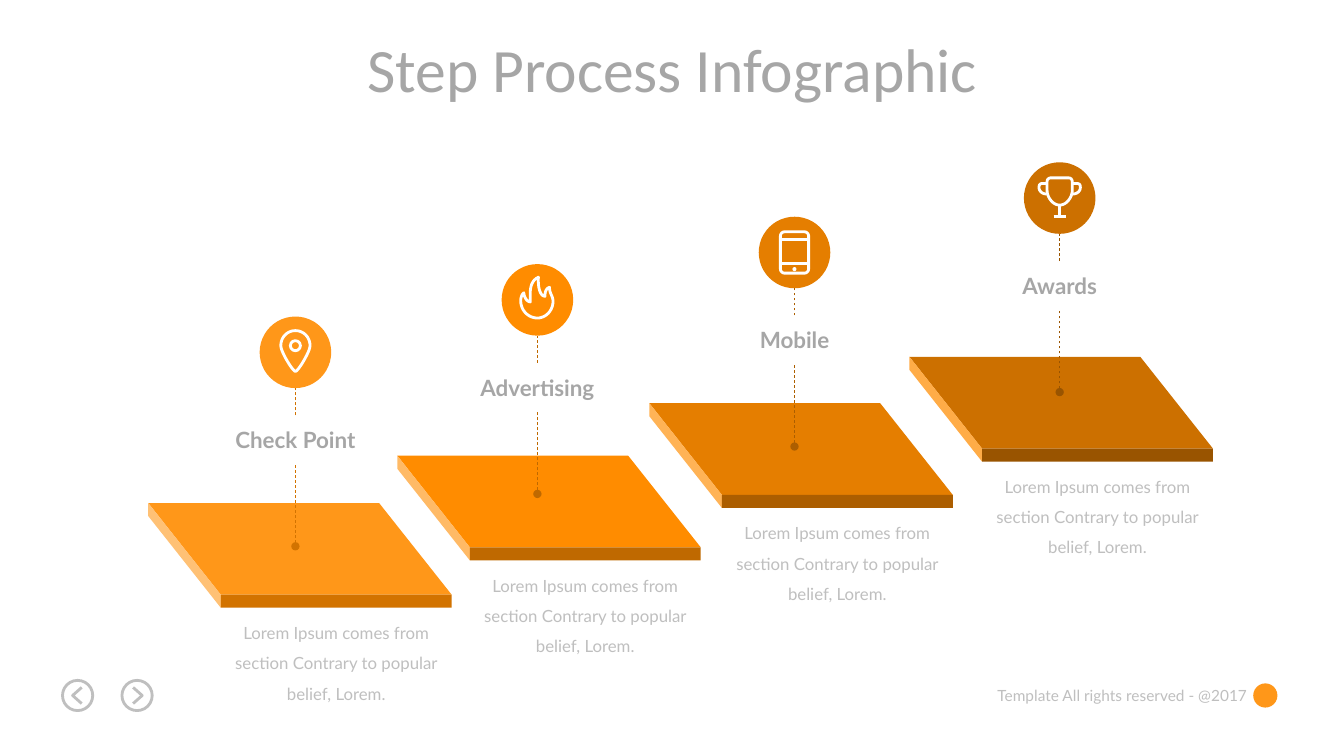
"""Build the Step Process Infographic slide: four rising slabs with icons."""
from lxml import etree
from pptx import Presentation
from pptx import util as u
from pptx.dml.color import RGBColor
from pptx.enum import dml, shapes, text
from pptx.oxml.ns import qn

THEME = {
    "title": ("Calibri", 44, "A6A6A6", False),
    "label": ("Lato", 16, "A6A6A6", True),
    "body": ("Lato", 12, "BFBFBF", False),
    "footer": ("Lato", 11, "BFBFBF", False),
    "nav": "BFBFBF", "accent": "FF9719", "icon": "FFFFFF",
    "stroke": 2, "dash": 0.5,
}
TITLE = "Step Process Infographic"
FOOTER = "Template All rights reserved - @2017"
BODY = "Lorem Ipsum comes from section Contrary to popular belief, Lorem."

# label, slab corner, pin dot, top / side / front colours
STEPS = [
    ("Check Point", (1.47, 4.99), (2.93, 5.42), ("FF9719", "FFC175", "D27300")),
    ("Advertising", (3.94, 4.52), (5.33, 4.90), ("FF8C00", "FFBA66", "BF6900")),
    ("Mobile", (6.44, 4.00), (7.88, 4.43), ("E57E00", "FFB356", "AC5E00")),
    ("Awards", (9.02, 3.54), (10.51, 3.89), ("CC7000", "FFAC47", "995400")),
]

# Icon strokes in hundredths of an inch from the disc centre:
# a start point, then lines (2 numbers) or cubic curves (6 numbers).
ICONS = {
    "Check Point": [
        [(0, -21.5), (-8, -21.5, -14.5, -15, -14.5, -6.5), (-14.5, -0.5, -2.5, 19, 0, 19),
         (2.5, 19, 14.5, -0.5, 14.5, -6.5), (14.5, -15, 8, -21.5, 0, -21.5)],
    ],
    "Advertising": [
        [(-16.5, 1), (-16.5, -3, -15, -6, -13.5, -7), (-13, -2, -10, 2, -7, 2),
         (-7, -5, -9, -18, 1, -22.5), (0.5, -14, 2, -4, 7.5, -3.5),
         (7.5, -7, 8, -11, 12, -12.5), (12, -6, 15.5, -4, 15.5, 1.5),
         (15.5, 10.5, 8.5, 18, 0, 18), (-9, 18, -16.5, 10.5, -16.5, 1)],
    ],
    "Mobile": [
        [(-10, -20.5), (10, -20.5), (12, -20.5, 14, -18.5, 14, -16.5), (14, 16.5),
         (14, 18.5, 12, 20.5, 10, 20.5), (-10, 20.5), (-12, 20.5, -14, 18.5, -14, 16.5),
         (-14, -16.5), (-14, -18.5, -12, -20.5, -10, -20.5)],
        [(-14, -13), (14, -13)],
        [(-14, 11), (14, 11)],
    ],
    "Awards": [
        [(-8.5, -20), (8.5, -20), (11, -20, 12.5, -18.5, 12.5, -16), (12.5, -7.5),
         (12.5, -1, 7, 7, 0, 7), (-7, 7, -12.5, -1, -12.5, -7.5), (-12.5, -16),
         (-12.5, -18.5, -11, -20, -8.5, -20)],
        [(-13, -14.5), (-18, -14.5, -20.5, -15, -20.5, -10.5), (-20.5, -7, -17.5, -4, -13, -4)],
        [(13, -14.5), (18, -14.5, 20.5, -15, 20.5, -10.5), (20.5, -7, 17.5, -4, 13, -4)],
        [(0, 7), (0, 18)],
        [(-6, 18), (6, 18)],
    ],
}
# vertical offset, radius, filled
ICON_DOTS = {"Check Point": (-0.065, 0.05, False), "Mobile": (0.165, 0.02, True)}
NAV = [(0.77, -1), (1.36, 1)]

SLAB_W, SLAB_SKEW, SLAB_DEPTH, SLAB_H = 2.29, 0.72, 0.91, 0.13
DISC = 0.71
DISC_RISE = 2.28


def rgb(value):
    return RGBColor.from_string(value)


def paint(sp, fill=None, line=None):
    sp.shadow.inherit = False
    if fill:
        sp.fill.solid()
        sp.fill.fore_color.rgb = rgb(fill)
    else:
        sp.fill.background()
    if line:
        sp.line.color.rgb = rgb(line)
        sp.line.width = u.Pt(THEME["stroke"])
    else:
        sp.line.fill.background()


def preset(s, kind, x, y, w, h, fill=None, line=None):
    sp = s.shapes.add_shape(kind, *map(u.Inches, (x, y, w, h)))
    paint(sp, fill, line)


def circle(s, cx, cy, radius, fill=None, line=None):
    preset(s, shapes.MSO_SHAPE.OVAL, cx - radius, cy - radius, 2 * radius, 2 * radius, fill, line)


def outline(s, points, fill=None, line=None):
    pts = [(u.Inches(x), u.Inches(y)) for x, y in points]
    builder = s.shapes.build_freeform(*pts[0], scale=1.0)
    builder.add_line_segments(pts[1:], close=pts[0] == pts[-1] or fill is not None)
    paint(builder.convert_to_shape(), fill, line)


def flatten(stroke, cx, cy, steps=12):
    pts = [stroke[0]]
    for seg in stroke[1:]:
        if len(seg) == 2:
            pts.append(seg)
            continue
        ctrl = [pts[-1], seg[:2], seg[2:4], seg[4:]]
        for i in range(1, steps + 1):
            t = i / steps
            weights = ((1 - t) ** 3, 3 * t * (1 - t) ** 2, 3 * t * t * (1 - t), t ** 3)
            pts.append(tuple(sum(k * c[axis] for k, c in zip(weights, ctrl)) for axis in (0, 1)))
    return [(cx + x / 100, cy + y / 100) for x, y in pts]


def write(s, content, style, x, y, w, h, align=text.PP_ALIGN.CENTER, wrap=False, spacing=None):
    font, size, color, bold = THEME[style]
    tf = s.shapes.add_textbox(*map(u.Inches, (x, y, w, h))).text_frame
    tf.word_wrap = wrap
    p = tf.paragraphs[0]
    p.text = content
    p.alignment = align
    if spacing:
        p.line_spacing = spacing
    r = p.runs[0]
    r.font.name, r.font.size, r.font.bold = font, u.Pt(size), bold
    r.font.color.rgb = rgb(color)


def dashed(s, x, y1, y2, color, dot=False):
    line = s.shapes.add_connector(shapes.MSO_CONNECTOR.STRAIGHT, *map(u.Inches, (x, y1, x, y2)))
    line.line.color.rgb = rgb(color)
    line.line.width = u.Pt(THEME["dash"])
    line.line.dash_style = dml.MSO_LINE.DASH
    props = line.element.spPr
    if dot:
        etree.SubElement(props.find(qn("a:ln")), qn("a:headEnd"), type="oval")
    etree.SubElement(props, qn("a:effectLst"))


def slab(s, x, y, colors):
    top, side, front = colors
    near, base = x + SLAB_SKEW, y + SLAB_DEPTH
    outline(s, [(near, base), (near + SLAB_W, base), (x + SLAB_W, y), (x, y)], top)
    outline(s, [(x, y), (x, y + SLAB_H), (near, base + SLAB_H), (near, base)], side)
    preset(s, shapes.MSO_SHAPE.RECTANGLE, near, base, SLAB_W, SLAB_H, front)


def marker(s, label, x, y, colors):
    cy = y - DISC_RISE + DISC / 2
    circle(s, x, cy, DISC / 2, colors[0])
    dashed(s, x, y, y - 0.82, colors[2], dot=True)
    dashed(s, x, y - 1.3, y - DISC_RISE + DISC, colors[2])
    write(s, label, "label", x - 0.71, y - 1.24, 1.42, 0.37)
    for stroke in ICONS[label]:
        outline(s, flatten(stroke, x, cy), line=THEME["icon"])
    if label in ICON_DOTS:
        dy, radius, filled = ICON_DOTS[label]
        color = THEME["icon"]
        circle(s, x, cy + dy, radius, color if filled else None, None if filled else color)


def main():
    prs = Presentation()
    prs.slide_width, prs.slide_height = u.Inches(13.33), u.Inches(7.5)
    s = prs.slides.add_slide(prs.slide_layouts[6])
    write(s, FOOTER, "footer", 9.74, 6.76, 2.73, 0.29, text.PP_ALIGN.RIGHT)
    circle(s, 12.55, 6.9, 0.12, THEME["accent"])
    for x, way in NAV:
        circle(s, x, 6.9, 0.15, line=THEME["nav"])
        back = x - way * 0.04
        outline(s, [(back, 6.82), (back + way * 0.09, 6.9), (back, 6.98)], line=THEME["nav"])
    write(s, TITLE, "title", 3, 0.26, 7.34, 0.84)
    for label, (x, y), pin, colors in STEPS:
        slab(s, x, y, colors)
        write(s, BODY, "body", x + SLAB_SKEW, y + 1.04, SLAB_W, 1.01, wrap=True, spacing=1.5)
        marker(s, label, *pin, colors)
    prs.save("out.pptx")


if __name__ == "__main__":
    main()
